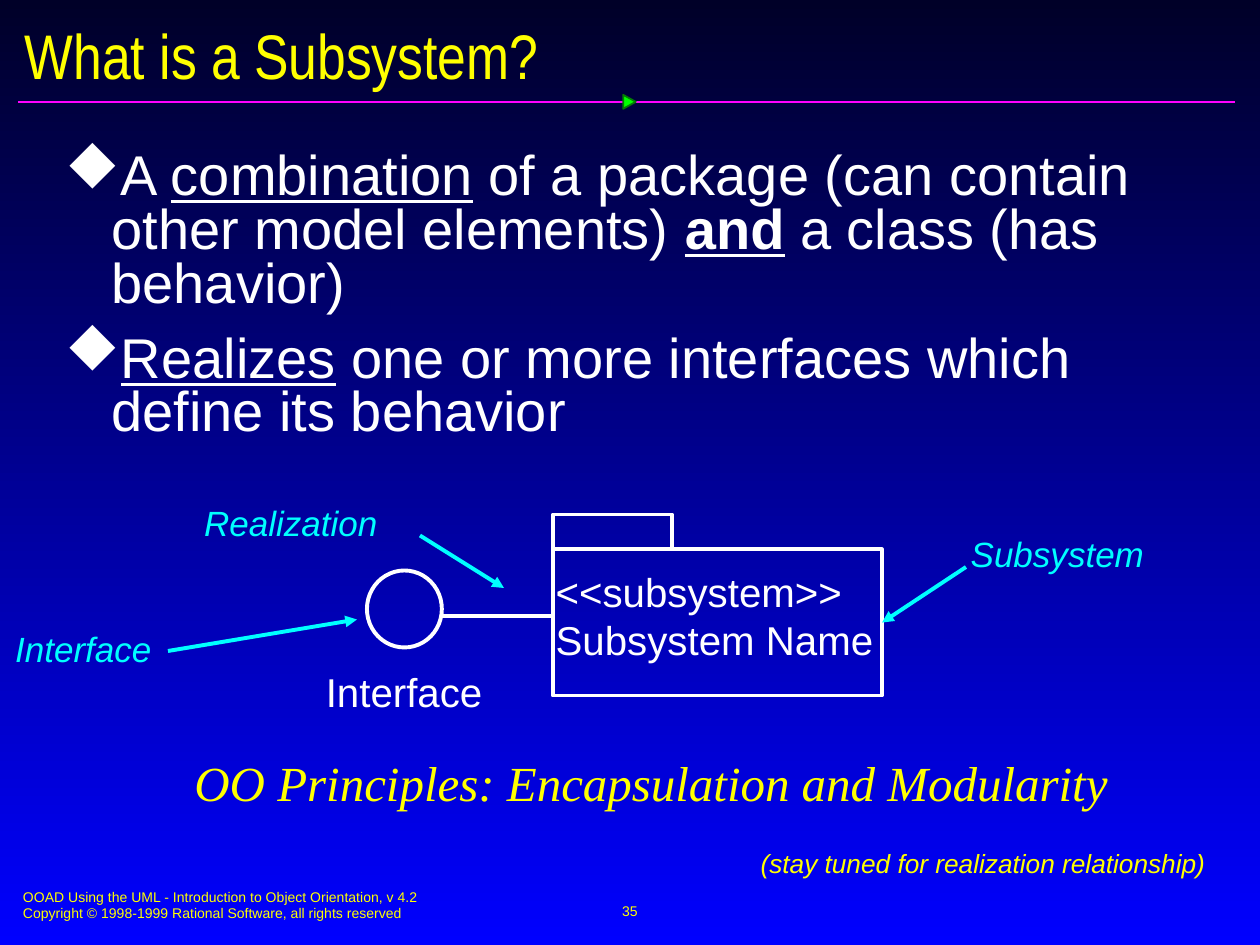
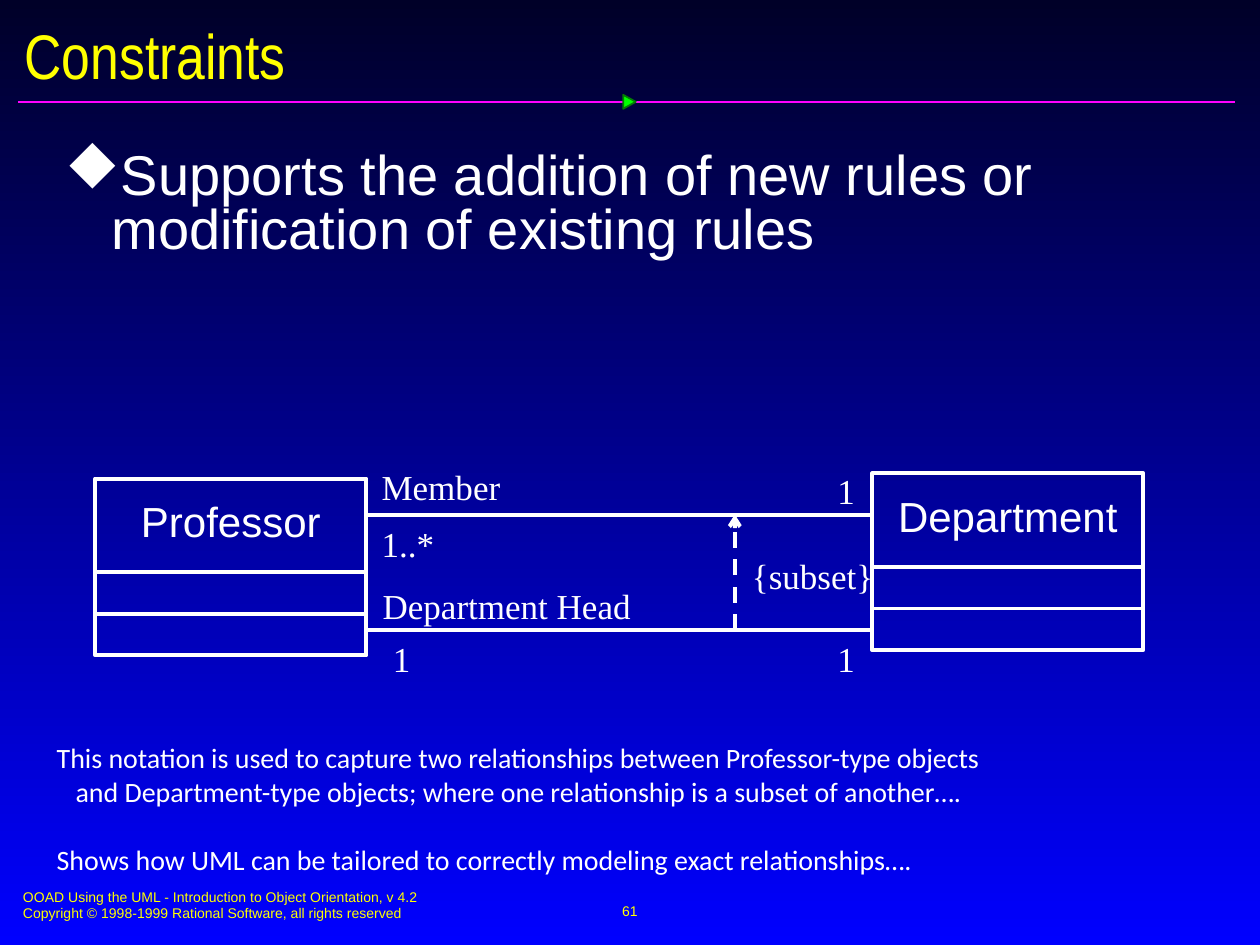
from lxml.etree import SubElement
from pptx import Presentation
from pptx.dml.color import RGBColor
from pptx.enum.dml import MSO_LINE as Dash
from pptx.enum.shapes import MSO_CONNECTOR as Link, MSO_SHAPE as Preset
from pptx.enum.text import MSO_ANCHOR as Anchor, PP_ALIGN as Align
from pptx.oxml.ns import qn
from pptx.util import Pt

COLORS = {
    "night": "000028", "blue": "0000FF", "white": "FFFFFF", "yellow": "FFFF00",
    "cyan": "00FFFF", "magenta": "FF01FF", "green": "00FF00", "dark green": "037C03",
}
SERIF = "Times New Roman"
NARROW_INSET, WIDE_INSET = (7.2, 3.6), (8.64, 4.32)
STROKE = 2.25
PAGE_BOX = (0, 0, 720, 540)
FOOTER = [
    "OOAD Using the UML - Introduction to Object Orientation, v 4.2",
    "Copyright © 1998-1999 Rational Software, all rights reserved",
]


def color(name):
    """Look up a named colour."""
    return RGBColor.from_string(COLORS[name])


def within(box, left, top, width, height):
    """Shift a box so that it is measured from the corner of another."""
    return box[0] + left, box[1] + top, width, height


def style_font(font, size, tint, name="Arial", italic=False):
    """Set the face, size and colour of a font."""
    font.name, font.size, font.italic = name, Pt(size), italic
    font.color.rgb = color(tint)


def add_frame(page, box, inset, wrap=True, anchor=Anchor.TOP):
    """Add an empty text box and return its text frame."""
    frame = page.shapes.add_textbox(*map(Pt, box)).text_frame
    frame.word_wrap, frame.vertical_anchor = wrap, anchor
    frame.margin_left = frame.margin_right = Pt(inset[0])
    frame.margin_top = frame.margin_bottom = Pt(inset[1])
    return frame


def add_text(page, box, text, size, tint, name="Arial", italic=False,
             align=Align.LEFT, inset=WIDE_INSET, **options):
    """Add a text box in one style, a paragraph for each line."""
    frame = add_frame(page, box, inset, **options)
    frame.text = text
    for para in frame.paragraphs:
        para.alignment = align
        for span in para.runs:
            style_font(span.font, size, tint, name, italic)
    return frame


def add_outline(page, preset, box, tint="white", weight=STROKE, fill=None):
    """Add a preset shape with an outline and an optional fill."""
    shape = page.shapes.add_shape(preset, *map(Pt, box))
    shape.shadow.inherit = False
    shape.line.color.rgb, shape.line.width = color(tint), Pt(weight)
    if fill:
        shape.fill.solid()
        shape.fill.fore_color.rgb = color(fill)
    else:
        shape.fill.background()
    return shape


def add_line(page, box, start, end, tint="white", weight=STROKE, head=None, dash=None):
    """Draw a straight line between two points of a box."""
    ends = [box[axis] + point[axis] for point in (start, end) for axis in (0, 1)]
    line = page.shapes.add_connector(Link.STRAIGHT, *map(Pt, ends))
    line.line.color.rgb, line.line.width = color(tint), Pt(weight)
    if dash:
        line.line.dash_style = dash
    properties = line.element.spPr
    if head:
        SubElement(properties.find(qn("a:ln")), qn("a:tailEnd"), type=head)
    SubElement(properties, qn("a:effectLst"))
    return line


def add_page(deck, box, title, number):
    """Add a page with its background, title, rule and footer."""
    page = deck.slides.add_slide(deck.slide_layouts[6])
    fill = page.background.fill
    fill.gradient()
    fill.gradient_angle = 270
    for stop, tint in zip(fill.gradient_stops, ("night", "blue")):
        stop.color.rgb = color(tint)
    add_line(page, box, (10.5, 58.2), (706, 58.2), "magenta", 1)
    marker = add_outline(page, Preset.ISOSCELES_TRIANGLE, within(box, 355.7, 54.6, 8, 7.2),
                         "dark green", 1, "green")
    marker.rotation = 90
    add_text(page, within(box, 6, 504, 367, 27), "\n".join(FOOTER), 8, "yellow",
             inset=NARROW_INSET)
    add_text(page, within(box, 246, 502.5, 228, 36), number, 8, "yellow",
             align=Align.CENTER, inset=NARROW_INSET, anchor=Anchor.MIDDLE)
    add_text(page, within(box, 7, 10, 708, 42), title, 36, "yellow", "Arial Narrow",
             inset=NARROW_INSET, anchor=Anchor.MIDDLE)
    return page


def add_bullets(page, box, items):
    """Add diamond bullets, each a list of (text, underlined, bold) spans."""
    frame = add_frame(page, box, WIDE_INSET)
    for index, spans in enumerate(items):
        para = frame.add_paragraph() if index else frame.paragraphs[0]
        properties = para._p.get_or_add_pPr()
        properties.set("marL", str(Pt(26.6)))
        properties.set("indent", str(-Pt(26.6)))
        tint = SubElement(properties, qn("a:buClr"))
        SubElement(tint, qn("a:srgbClr"), val=COLORS["white"])
        SubElement(properties, qn("a:buFont"), typeface="Wingdings", pitchFamily="2", charset="2")
        SubElement(properties, qn("a:buChar"), char="u")
        para.line_spacing = 0.8
        para.space_before = Pt(12 if index else 0)
        for text, underlined, bold in spans:
            span = para.add_run()
            span.text = text
            style_font(span.font, 32, "white")
            span.font.underline, span.font.bold = underlined, bold


def add_subsystem_diagram(page, box):
    """Draw a subsystem package that realizes an interface, with callouts."""
    package = add_outline(page, Preset.RECTANGLE, within(box, 316, 32, 188, 83.5))
    add_outline(page, Preset.RECTANGLE, within(box, 316, 12, 68, 20))
    add_text(page, within(box, 317.5, 42, 182, 55), "<<subsystem>>\nSubsystem Name",
             23, "white", inset=(0, 0), wrap=False)
    add_outline(page, Preset.OVAL, within(box, 209.7, 44, 42.8, 44))
    add_line(page, box, (252.7, 70), (316, 70))
    add_text(page, within(box, 150, 96, 162, 35), "Interface", 23, "white",
             align=Align.CENTER, inset=NARROW_INSET)
    callouts = [
        ("Interface", (0, 72), (96, 90), (204, 72)),
        ("Realization", (108, 0), (240, 24), (288, 54)),
        ("Subsystem", (546, 18), (552, 42), (504, 73.75)),
    ]
    for label, place, start, end in callouts:
        add_text(page, within(box, *place, 126, 32), label, 20, "cyan", italic=True)
        arrow = add_line(page, box, start, end, "cyan", head="triangle")
    arrow.end_connect(package, 3)


def add_class(page, box, name):
    """Draw a class with its name above two empty compartments."""
    add_text(page, within(box, 0, 6, box[2], 36), name, 24, "white",
             align=Align.CENTER, inset=NARROW_INSET)
    add_outline(page, Preset.RECTANGLE, box)
    for height in (53.3, 77.2):
        add_line(page, box, (0, height), (box[2], height))


def add_constraint_diagram(page, box):
    """Draw two classes, their two associations and the subset constraint."""
    add_class(page, within(box, 0, 3, 155, 101), "Professor")
    add_class(page, within(box, 444, 0, 155, 101), "Department")
    for height in (24, 89.5):
        add_line(page, box, (155.6, height), (444, height))
    add_line(page, box, (365.5, 89.5), (365.5, 23.5), head="arrow", dash=Dash.DASH)
    labels = [
        ("Member", 155, -8.8, 125, Align.LEFT),
        ("1..*", 155, 24, 125, Align.LEFT),
        ("Department Head", 155.6, 59, 179, Align.LEFT),
        ("1", 161.5, 89.5, 125, Align.LEFT),
        ("{subset}", 347.5, 42, 125, Align.CENTER),
        ("1", 317.7, -6.3, 125, Align.RIGHT),
        ("1", 317.7, 89.5, 125, Align.RIGHT),
    ]
    for label, left, top, width, align in labels:
        add_text(page, within(box, left, top, width, 32), label, 20, "white", SERIF, align=align)


def build_subsystem_page(deck, box):
    """Build the page that defines a subsystem."""
    page = add_page(deck, box, "What is a Subsystem?", "35")
    add_bullets(page, within(box, 28.5, 83, 669, 397), [
        [("A ", False, False), ("combination", True, False),
         (" of a package (can contain other model elements) ", False, False),
         ("and", True, True), (" a class (has behavior)", False, False)],
        [("Realizes", True, False),
         (" one or more interfaces which define its behavior", False, False)],
    ])
    add_subsystem_diagram(page, within(box, 0, 282, 720, 132))
    add_text(page, within(box, 72, 426, 600, 42), "OO Principles: Encapsulation and Modularity",
             28, "yellow", SERIF, True, Align.CENTER)
    add_text(page, within(box, 426, 480, 294, 27), "(stay tuned for realization relationship)",
             15, "yellow", italic=True)


def build_constraints_page(deck, box):
    """Build the page that shows a constraint between associations."""
    page = add_page(deck, box, "Constraints", "61")
    add_bullets(page, within(box, 28.5, 83, 669, 397), [
        [("Supports the addition of new rules or modification of existing rules", False, False)],
    ])
    add_constraint_diagram(page, within(box, 54.4, 270.5, 599, 125))
    notes = [
        "This notation is used to capture two relationships between Professor-type objects",
        "and Department-type objects; where one relationship is a subset of another….",
        "Shows how UML can be tailored to correctly modeling exact relationships….",
    ]
    frame = add_text(page, within(box, 23.75, 419, 627, 85), "\n".join(notes),
                     16, "white", "Calibri")
    frame.paragraphs[1]._p.get_or_add_pPr().set("marL", str(Pt(10.8)))
    frame.paragraphs[2].space_before = Pt(19.5)


def main():
    """Build and save the deck."""
    deck = Presentation()
    deck.slide_width, deck.slide_height = map(Pt, PAGE_BOX[2:])
    build_subsystem_page(deck, PAGE_BOX)
    build_constraints_page(deck, PAGE_BOX)
    deck.save("out.pptx")


if __name__ == "__main__":
    main()
